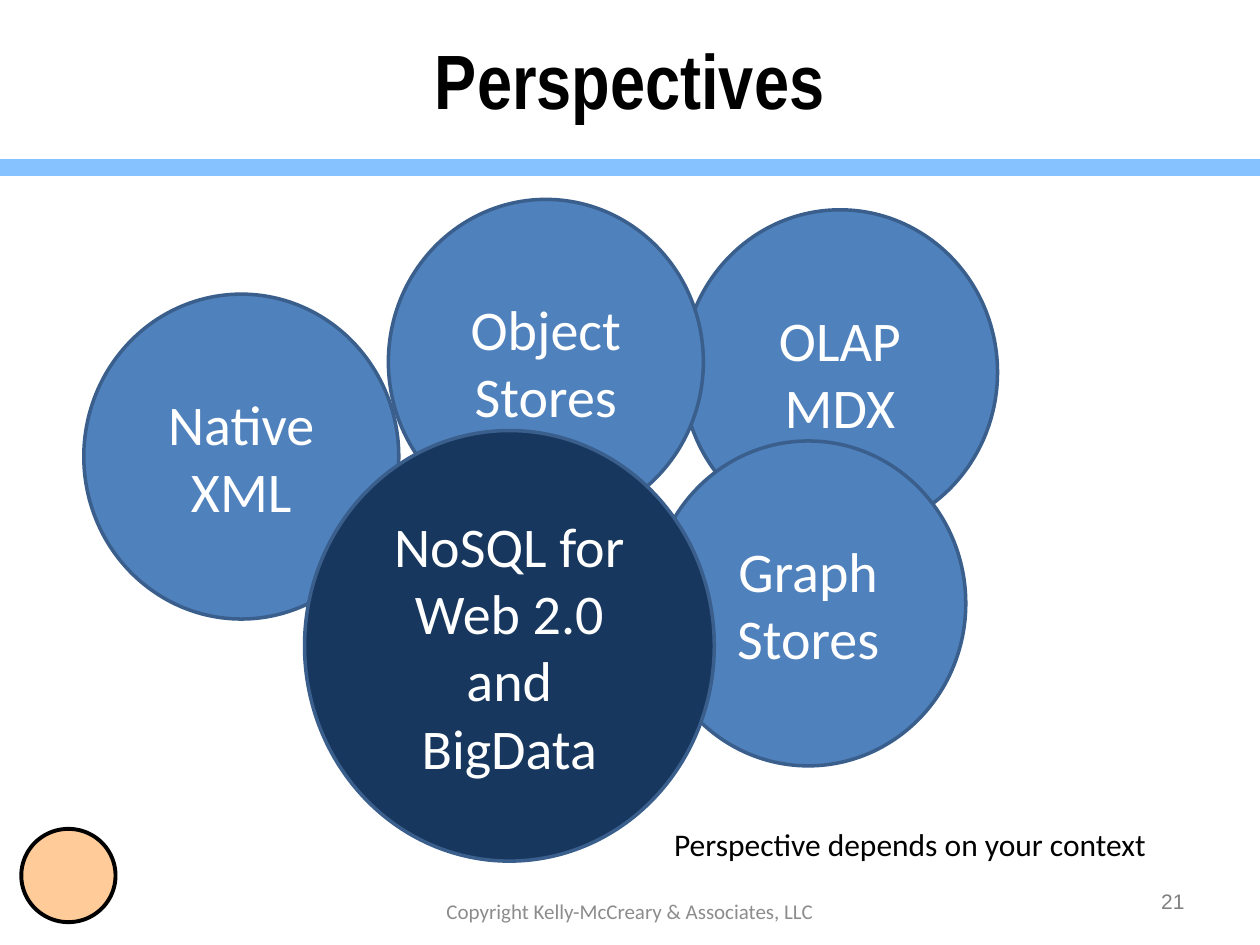
from lxml.etree import SubElement
from pptx import Presentation
from pptx.dml.color import RGBColor
from pptx.enum.shapes import MSO_CONNECTOR, MSO_SHAPE
from pptx.enum.text import MSO_ANCHOR as Anchor, PP_ALIGN as Align
from pptx.oxml.ns import qn
from pptx.util import Cm, Pt

THEME = {
    "black": "000000", "white": "FFFFFF", "band": "85C2FF",
    "circle": "4F81BD", "focus": "17375E", "outline": "3A5F8C",
    "number": "808080", "footer": "8C8C8C", "mark": "FFCC99",
    "title_font": "Arial Narrow", "body_font": "Calibri", "number_font": "Arial",
    "title_size": 44, "circle_size": 32, "note_size": 18, "small_size": 12,
}

TITLE = "Perspectives"
SMALL, LARGE = (6.35, 6.55), (8.26, 8.68)
CIRCLES = [
    (["Native XML"], (1.69, 5.93), SMALL, "circle"),
    (["OLAP", "MDX"], (13.76, 4.23), SMALL, "circle"),
    (["Object", "Stores"], (7.83, 4.02), SMALL, "circle"),
    (["Graph", "Stores"], (13.12, 8.89), SMALL, "circle"),
    (["NoSQL for", "Web 2.0", "and", "BigData"], (6.14, 8.68), LARGE, "focus"),
]
LABELS = [
    ("21", (22.66, 17.65, 1.47, 1.02), Align.RIGHT, Anchor.MIDDLE,
     "number_font", "small_size", "number", True),
    ("Perspective depends on your context", (13.34, 16.51, 10.31, 1.02), Align.LEFT,
     Anchor.TOP, "body_font", "note_size", "black", False),
    ("Copyright Kelly-McCreary & Associates, LLC", (7.2, 17.98, 11, 0.77), Align.CENTER,
     Anchor.TOP, "body_font", "small_size", "footer", True),
]


def color(name):
    return RGBColor.from_string(THEME[name])


def write(frame, lines, align, anchor, font, size, ink, bold=False, wrap=True):
    frame.word_wrap = wrap
    frame.vertical_anchor = anchor
    for index, line in enumerate(lines):
        paragraph = frame.add_paragraph() if index else frame.paragraphs[0]
        paragraph.text = line
        paragraph.alignment = align
        paragraph.font.name = THEME[font]
        paragraph.font.size = Pt(THEME[size])
        paragraph.font.bold = bold
        paragraph.font.color.rgb = color(ink)


def add_oval(slide, box, fill, outline, width):
    shape = slide.shapes.add_shape(MSO_SHAPE.OVAL, *map(Cm, box))
    shape.shadow.inherit = False
    shape.fill.solid()
    shape.fill.fore_color.rgb = color(fill)
    shape.line.color.rgb = color(outline)
    shape.line.width = Pt(width)
    return shape


def add_band(slide, y, width):
    band = slide.shapes.add_connector(MSO_CONNECTOR.STRAIGHT, 0, Cm(y), width, Cm(y))
    band.line.color.rgb = color("band")
    band.line.width = Pt(10)
    SubElement(band._element.spPr, qn("a:effectLst"))


def main():
    presentation = Presentation()
    presentation.slide_width, presentation.slide_height = Cm(25.4), Cm(19.05)
    slide = presentation.slides.add_slide(presentation.slide_layouts[5])

    add_band(slide, 3.38, presentation.slide_width)
    add_oval(slide, (0.43, 16.71, 1.9, 1.88), "mark", "black", 2.25)

    title = slide.shapes.title
    title.left, title.top, title.width, title.height = map(Cm, (1.27, 0, 22.86, 3.18))
    write(title.text_frame, [TITLE], Align.CENTER, Anchor.MIDDLE,
          "title_font", "title_size", "black", bold=True)

    for lines, position, size, fill in CIRCLES:
        circle = add_oval(slide, position + size, fill, "outline", 2)
        write(circle.text_frame, lines, Align.CENTER, Anchor.MIDDLE,
              "body_font", "circle_size", "white")

    for text, box, align, anchor, font, size, ink, wrap in LABELS:
        label = slide.shapes.add_textbox(*map(Cm, box))
        write(label.text_frame, [text], align, anchor, font, size, ink, wrap=wrap)

    presentation.save("out.pptx")


if __name__ == "__main__":
    main()
